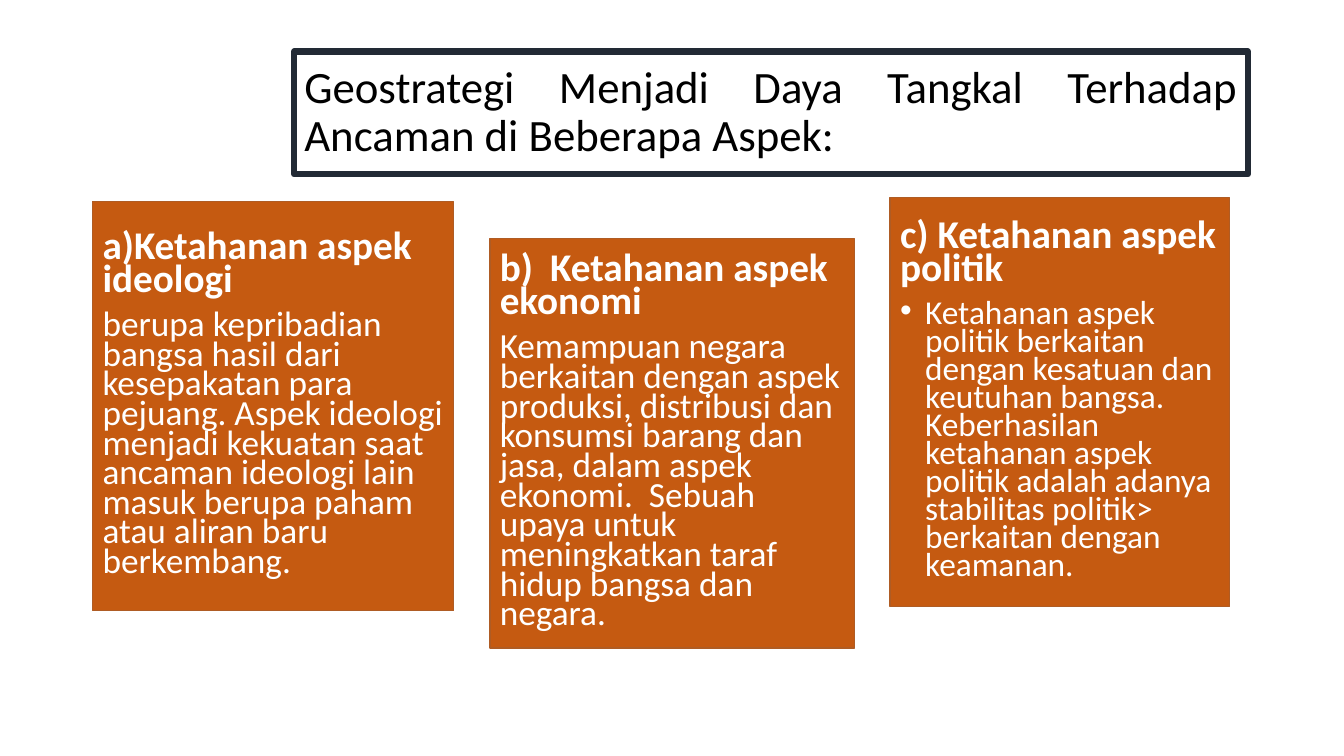
from dataclasses import dataclass

from lxml import etree
from pptx import Presentation
from pptx.dml.color import RGBColor
from pptx.enum import shapes, text
from pptx.oxml import ns
from pptx.util import Pt

WHITE = RGBColor(0xFF, 0xFF, 0xFF)
BLACK = RGBColor(0x00, 0x00, 0x00)
ORANGE = RGBColor(0xC5, 0x5A, 0x11)
RUST = RGBColor(0xAF, 0x5C, 0x24)
NAVY = RGBColor(0x22, 0x2A, 0x35)
FONT = "Calibri"
CARD_HEIGHT = 292.3
BULLET_INDENT = 18


@dataclass
class Card:
    left: float
    top: float
    width: float
    heading: str
    body: str
    heading_size: float = 28
    body_size: float = 25.2
    bulleted: bool = False


CARDS = [
    Card(66.2, 144, 257.8, "a)Ketahanan aspek ideologi",
         "berupa kepribadian bangsa hasil dari kesepakatan para pejuang. "
         "Aspek ideologi menjadi kekuatan saat ancaman ideologi lain masuk "
         "berupa paham atau aliran baru berkembang."),
    Card(349.9, 170.6, 260.6, "b)\tKetahanan aspek ekonomi",
         "Kemampuan negara berkaitan dengan aspek produksi, distribusi dan "
         "konsumsi barang dan jasa, dalam aspek ekonomi.  Sebuah upaya untuk "
         "meningkatkan taraf hidup bangsa dan negara."),
    Card(635.8, 141.1, 242.6, "c) Ketahanan aspek politik",
         "Ketahanan aspek politik berkaitan dengan kesatuan dan keutuhan "
         "bangsa. Keberhasilan ketahanan aspek politik adalah adanya "
         "stabilitas politik> berkaitan dengan keamanan.",
         heading_size=28.1, body_size=23.8, bulleted=True),
]


def format_box(shape, fill: RGBColor, line: RGBColor, line_width: float) -> None:
    shape.fill.solid()
    shape.fill.fore_color.rgb = fill
    shape.line.color.rgb = line
    shape.line.width = Pt(line_width)
    frame = shape.text_frame
    frame.word_wrap = True
    frame.auto_size = text.MSO_AUTO_SIZE.NONE
    frame.vertical_anchor = text.MSO_ANCHOR.MIDDLE


def format_paragraph(paragraph, size: float, color: RGBColor, spacing: float,
                     alignment=text.PP_ALIGN.LEFT, bold: bool = False) -> None:
    paragraph.alignment = alignment
    paragraph.line_spacing = spacing
    paragraph.space_before = Pt(10)
    for run in paragraph.runs:
        run.font.name = FONT
        run.font.size = Pt(size)
        run.font.bold = bold
        run.font.color.rgb = color


def add_bullet(paragraph) -> None:
    properties = paragraph._p.get_or_add_pPr()
    properties.set("marL", str(Pt(BULLET_INDENT)))
    properties.set("indent", str(-Pt(BULLET_INDENT)))
    etree.SubElement(properties, ns.qn("a:buFont"), typeface="Arial")
    etree.SubElement(properties, ns.qn("a:buChar"), char="•")


def add_card(slide, card: Card) -> None:
    shape = slide.shapes.add_shape(
        shapes.MSO_SHAPE.RECTANGLE, Pt(card.left), Pt(card.top),
        Pt(card.width), Pt(CARD_HEIGHT))
    shape.shadow.inherit = False
    format_box(shape, ORANGE, RUST, 1)
    shape.text_frame.text = f"{card.heading}\n{card.body}"
    heading, body = shape.text_frame.paragraphs
    format_paragraph(heading, card.heading_size, WHITE, 0.7, bold=True)
    format_paragraph(body, card.body_size, WHITE, 0.7)
    if card.bulleted:
        add_bullet(body)


def format_title(title) -> None:
    title.left, title.top = Pt(210.2), Pt(36.7)
    title.width, title.height = Pt(681.1), Pt(87.8)
    format_box(title, WHITE, NAVY, 4.5)
    title.text_frame.text = ("Geostrategi Menjadi Daya Tangkal Terhadap "
                             "Ancaman di Beberapa Aspek:")
    format_paragraph(title.text_frame.paragraphs[0], 32, BLACK, 0.9,
                     text.PP_ALIGN.JUSTIFY)


def main() -> None:
    presentation = Presentation()
    presentation.slide_width, presentation.slide_height = Pt(960), Pt(540)
    slide = presentation.slides.add_slide(presentation.slide_layouts[5])
    format_title(slide.shapes.title)
    for card in CARDS:
        add_card(slide, card)
    presentation.save("out.pptx")


if __name__ == "__main__":
    main()
